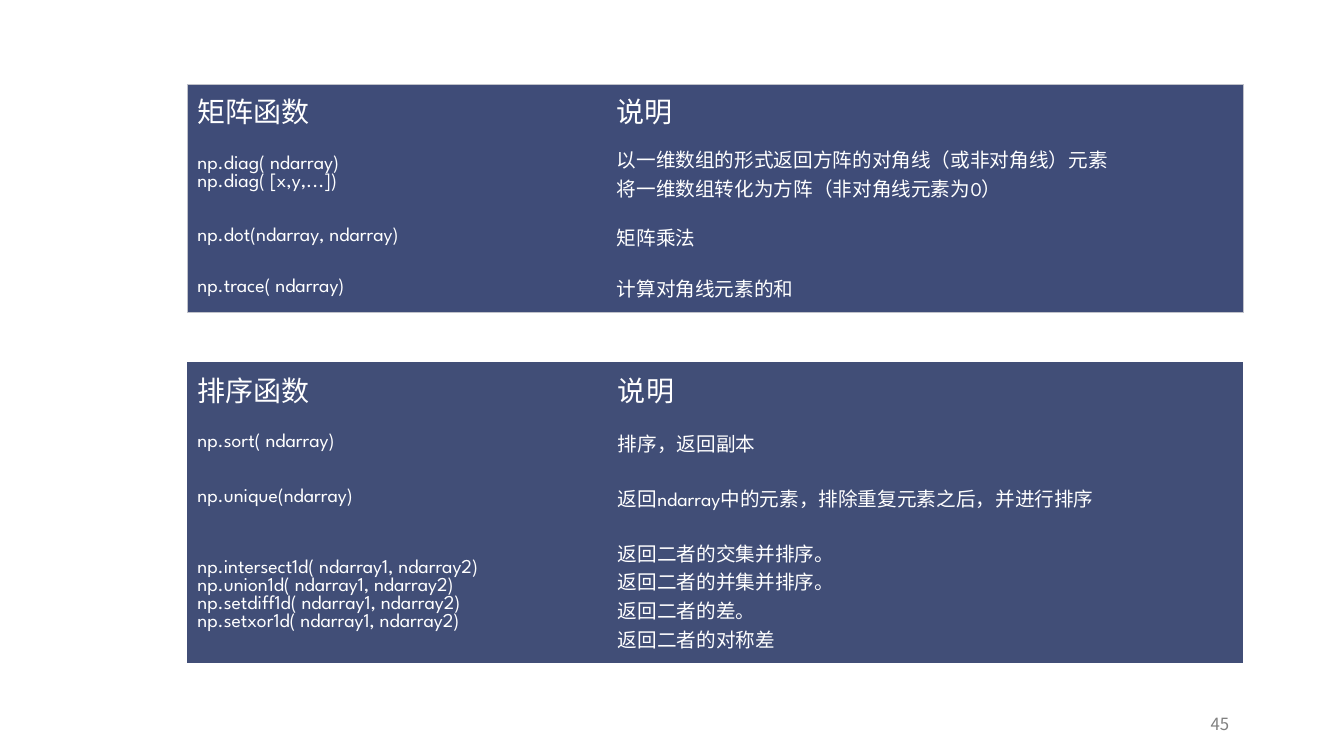
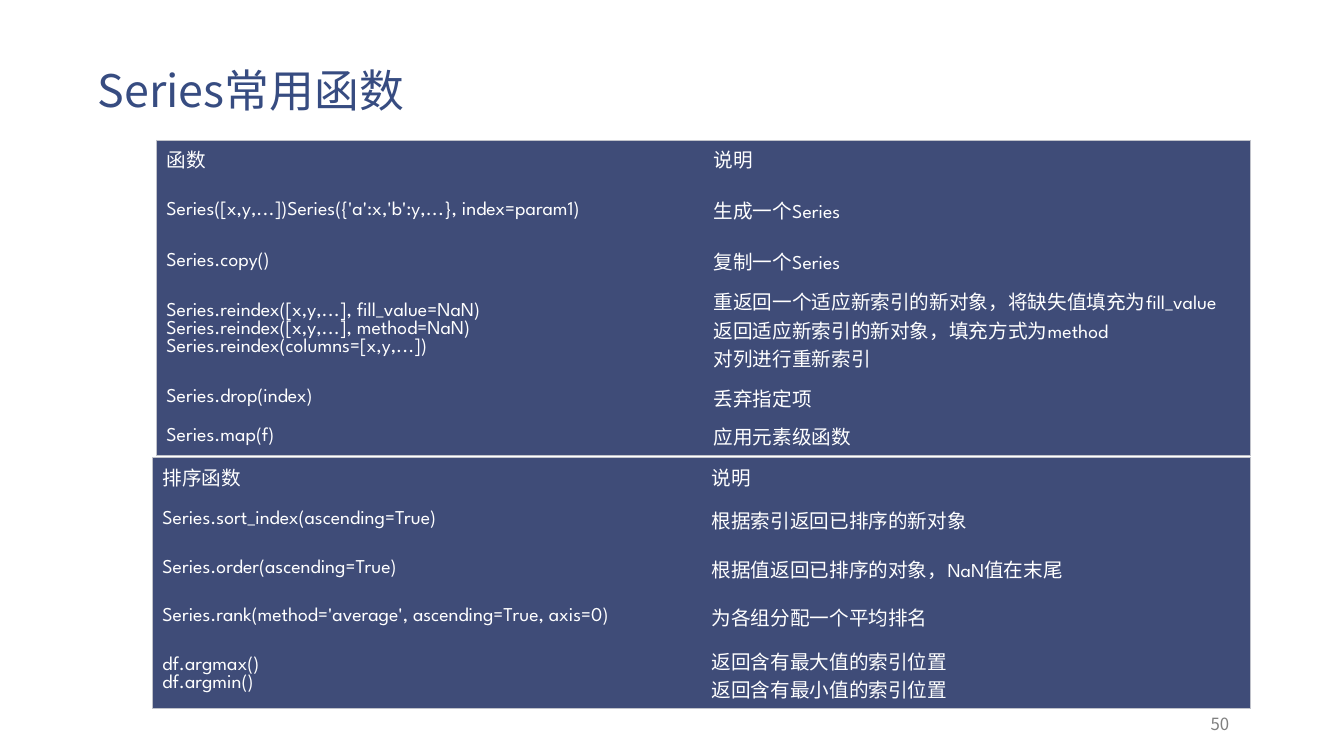
from dataclasses import dataclass

import lxml.etree
import pptx
import pptx.dml.color
import pptx.enum.text
import pptx.oxml.ns
import pptx.util

Cm = pptx.util.Cm
Pt = pptx.util.Pt
qn = pptx.oxml.ns.qn
PP_ALIGN = pptx.enum.text.PP_ALIGN
ANCHOR = pptx.enum.text.MSO_ANCHOR

# Shared look
TABLE_FONT = "League Spartan"
CJK_FONT = "Noto Sans CJK SC"
WHITE = "FFFFFF"
TITLE_BLUE = "374C81"
NAVY = "3F4C78"
SLATE = "414E77"
EDGE_GREY = "C0C2CA"
NUMBER_GREY = "808080"
NO_GRID_STYLE = "{2D5ABB26-0587-4C30-8999-92F81FD0307C}"
BODY_SIZE = 14


@dataclass
class FunctionTable:
    """Functions and their meaning; all lengths are centimetres."""
    left: float
    top: float
    columns: tuple[float, float]
    heights: list[float]
    rows: list[tuple[str, str]]
    header_size: int = BODY_SIZE
    fill: str = NAVY
    outlined: bool = True


@dataclass
class Page:
    number: int
    tables: list[FunctionTable]
    title: str = ""


def color(value: str) -> pptx.dml.color.RGBColor:
    return pptx.dml.color.RGBColor.from_string(value)


def style_text(frame, size: int, font: str, ink: str) -> None:
    for para in frame.paragraphs:
        for span in para.runs:
            span.font.size = Pt(size)
            span.font.name = font
            span.font.color.rgb = color(ink)
            east_asian = lxml.etree.SubElement(span.font._element, qn("a:ea"))
            east_asian.set("typeface", CJK_FONT)


def add_label(page, place: tuple[float, float, float, float], text: str,
              size: int, ink: str):
    box = page.shapes.add_textbox(*map(Cm, place))
    frame = box.text_frame
    frame.word_wrap = True
    frame.vertical_anchor = ANCHOR.BOTTOM
    frame.margin_left = frame.margin_right = Cm(0.33)
    frame.margin_top = frame.margin_bottom = Cm(0.18)
    frame.text = text
    style_text(frame, size, CJK_FONT, ink)
    return frame.paragraphs[0]


def add_edge(cell, side: str) -> None:
    line = lxml.etree.SubElement(cell._tc.get_or_add_tcPr(), qn(f"a:ln{side}"))
    line.set("w", str(Pt(0.5)))
    solid = lxml.etree.SubElement(line, qn("a:solidFill"))
    lxml.etree.SubElement(solid, qn("a:srgbClr")).set("val", EDGE_GREY)


def add_function_table(page, spec_table: FunctionTable) -> None:
    last_row = len(spec_table.rows) - 1
    frame = page.shapes.add_table(
        last_row + 1, 2, Cm(spec_table.left), Cm(spec_table.top),
        Cm(sum(spec_table.columns)), Cm(sum(spec_table.heights)))
    frame._element.xpath(".//a:tableStyleId")[0].text = NO_GRID_STYLE
    table = frame.table
    table.horz_banding = False
    for column, width in zip(table.columns, spec_table.columns):
        column.width = Cm(width)
    for row, height in zip(table.rows, spec_table.heights):
        row.height = Cm(height)

    for row_index, texts in enumerate(spec_table.rows):
        for column_index, text in enumerate(texts):
            cell = table.cell(row_index, column_index)
            cell.vertical_anchor = ANCHOR.MIDDLE
            # Only the outside of the table has lines
            edges = {"L": column_index == 0, "R": column_index == 1,
                     "T": row_index == 0, "B": row_index == last_row}
            for side, outside in edges.items():
                if spec_table.outlined and outside:
                    add_edge(cell, side)
            cell.fill.solid()
            cell.fill.fore_color.rgb = color(spec_table.fill)
            cell.text_frame.text = text
            size = spec_table.header_size if row_index == 0 else BODY_SIZE
            style_text(cell.text_frame, size, TABLE_FONT, WHITE)


def add_page(deck, content: Page) -> None:
    page = deck.slides.add_slide(deck.slide_layouts[6])
    if content.title:
        para = add_label(page, (2.13, 1.32, 24.43, 1.8), content.title, 32, TITLE_BLUE)
        para.line_spacing = 0.85
    for table in content.tables:
        add_function_table(page, table)
    para = add_label(page, (28.24, 17.78, 3.07, 0.89), str(content.number), 12, NUMBER_GREY)
    para.alignment = PP_ALIGN.RIGHT


# Matrix and sorting functions of arrays
MATRIX = FunctionTable(
    4.72, 2.13, (10.57, 16.05), [1.27, 1.93, 1.27, 1.27],
    [("矩阵函数", "说明"),
     ("np.diag( ndarray)\nnp.diag( [x,y,...])",
      "以一维数组的形式返回方阵的对角线（或非对角线）元素\n"
      "将一维数组转化为方阵（非对角线元素为0）"),
     ("np.dot(ndarray, ndarray)", "矩阵乘法"),
     ("np.trace( ndarray)", "计算对角线元素的和")],
    header_size=20)
ARRAY_SORTING = FunctionTable(
    4.72, 9.12, (10.6, 16), [1.4, 1.27, 1.52, 3.4],
    [("排序函数", "说明"),
     ("np.sort( ndarray)", "排序，返回副本"),
     ("np.unique(ndarray)", "返回ndarray中的元素，排除重复元素之后，并进行排序"),
     ("np.intersect1d( ndarray1, ndarray2)\nnp.union1d( ndarray1, ndarray2)\n"
      "np.setdiff1d( ndarray1, ndarray2)\nnp.setxor1d( ndarray1, ndarray2)",
      "返回二者的交集并排序。\n返回二者的并集并排序。\n返回二者的差。\n返回二者的对称差")],
    header_size=20, fill=SLATE, outlined=False)

# Functions of Series
SERIES = FunctionTable(
    3.94, 3.53, (13.79, 13.79), [0.97, 1.6, 0.97, 2.47, 0.97, 0.97],
    [("函数", "说明"),
     ("Series([x,y,...])Series({'a':x,'b':y,...}, index=param1)", "生成一个Series"),
     ("Series.copy()", "复制一个Series"),
     ("Series.reindex([x,y,...], fill_value=NaN)\n"
      "Series.reindex([x,y,...], method=NaN)\nSeries.reindex(columns=[x,y,...])",
      "重返回一个适应新索引的新对象，将缺失值填充为fill_value\n"
      "返回适应新索引的新对象，填充方式为method\n对列进行重新索引"),
     ("Series.drop(index)", "丢弃指定项"),
     ("Series.map(f)", "应用元素级函数")])
SERIES_SORTING = FunctionTable(
    3.84, 11.53, (13.84, 13.84), [0.97, 1.22, 1.22, 1.22, 1.69],
    [("排序函数", "说明"),
     ("Series.sort_index(ascending=True)", "根据索引返回已排序的新对象"),
     ("Series.order(ascending=True)", "根据值返回已排序的对象，NaN值在末尾"),
     ("Series.rank(method='average', ascending=True, axis=0)", "为各组分配一个平均排名"),
     ("df.argmax()\ndf.argmin()", "返回含有最大值的索引位置\n返回含有最小值的索引位置")])

PAGES = [
    Page(45, [MATRIX, ARRAY_SORTING]),
    Page(50, [SERIES, SERIES_SORTING], title="Series常用函数"),
]


def main() -> None:
    deck = pptx.Presentation()
    deck.slide_width = Cm(33.87)
    deck.slide_height = Cm(19.05)
    for content in PAGES:
        add_page(deck, content)
    deck.save("out.pptx")


if __name__ == "__main__":
    main()
